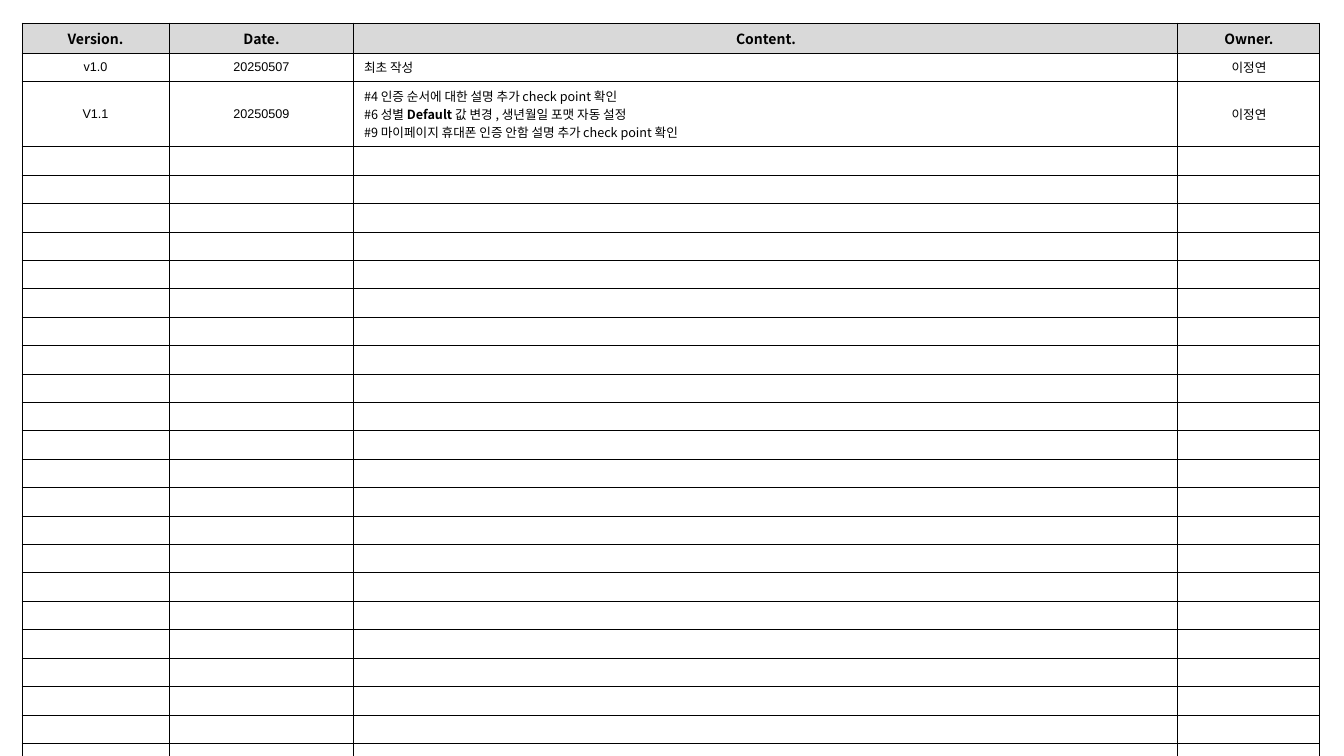
from dataclasses import dataclass
from lxml.etree import SubElement as Sub
from pptx import Presentation
from pptx.dml.color import RGBColor as Rgb
from pptx.enum.text import MSO_ANCHOR as Anchor, PP_ALIGN as Align
from pptx.oxml.ns import qn
from pptx.util import Emu, Pt

HEADS = ["Version.", "Date.", "Content.", "Owner."]
LOGS = [
    ("v1.0", "20250507", [["최초 작성"]], "이정연"),
    ("V1.1", "20250509", [
        ["#4 인증 순서에 대한 설명 추가 check point 확인"],
        ["#6 성별 ", ("Default ", True), "값 변경 , 생년월일 포맷 자동 설정"],
        ["#9 마이페이지 휴대폰 인증 안함 설명 추가 check point 확인"],
    ], "이정연"),
]
BLANKS = 25
WIDTHS = [147, 185, 824, 142]
HEIGHTS = [30, 28, 65]
LEFT, TOP = 22, 23
SPAN, STEPS = 596, 21
SLIDE = (1344, 756)


@dataclass(frozen=True)
class Theme:
    ink: str = "000000"
    head: str = "D9D9D9"
    sans: str = "Noto Sans CJK KR"
    plain: str = "Arial"
    big: float = 10
    small: float = 9
    line: float = 0.75


theme = Theme()


def px(n):
    return Emu(round(n * 9144000 / 1008))


def edge(cell):
    props = cell._tc.get_or_add_tcPr()
    for side in ("lnL", "lnR", "lnT", "lnB"):
        line = Sub(props, qn(f"a:{side}"), w=str(Pt(theme.line)))
        fill = Sub(line, qn("a:solidFill"))
        Sub(fill, qn("a:srgbClr"), val=theme.ink)


def add_run(para, text, size, face, bold):
    run = para.add_run()
    run.text = text
    font = run.font
    font.size, font.name, font.bold = Pt(size), face, bold
    font.color.rgb = Rgb.from_string(theme.ink)
    Sub(run._r.get_or_add_rPr(), qn("a:ea"), typeface=theme.sans)


def write(cell, lines, align, size, face, bold=False):
    frame = cell.text_frame
    for i, parts in enumerate(lines):
        para = frame.add_paragraph() if i else frame.paragraphs[0]
        para.alignment = align
        for part in parts:
            text, heavy = (part, bold) if isinstance(part, str) else part
            add_run(para, text, size, face, heavy)


def clear(cell):
    para = cell.text_frame.paragraphs[0]
    end = Sub(para._p, qn("a:endParaRPr"), sz=str(round(theme.small * 100)))
    for tag in ("latin", "ea"):
        Sub(end, qn(f"a:{tag}"), typeface=theme.sans)


def build():
    deck = Presentation()
    deck.slide_width, deck.slide_height = map(px, SLIDE)
    slide = deck.slides.add_slide(deck.slide_layouts[6])
    tall = HEIGHTS + [SPAN / STEPS] * BLANKS
    frame = slide.shapes.add_table(
        len(tall), len(WIDTHS), px(LEFT), px(TOP), px(sum(WIDTHS)), px(sum(tall)))
    table = frame.table
    table.first_row = table.horz_banding = False
    for col, wide in zip(table.columns, WIDTHS):
        col.width = px(wide)
    for row, high in zip(table.rows, tall):
        row.height = px(high)

    for r in range(len(tall)):
        for c, head in enumerate(HEADS):
            cell = table.cell(r, c)
            cell.vertical_anchor = Anchor.MIDDLE
            edge(cell)
            if r == 0:
                cell.fill.solid()
                cell.fill.fore_color.rgb = Rgb.from_string(theme.head)
                write(cell, [[head]], Align.CENTER, theme.big, theme.sans, True)
                continue
            cell.fill.background()
            if r > len(LOGS):
                clear(cell)
                continue
            item = LOGS[r - 1][c]
            lines = [[item]] if isinstance(item, str) else item
            align = Align.LEFT if head == "Content." else Align.CENTER
            face = theme.plain if c < 2 else theme.sans
            write(cell, lines, align, theme.small, face)
    deck.save("out.pptx")


if __name__ == "__main__":
    build()
